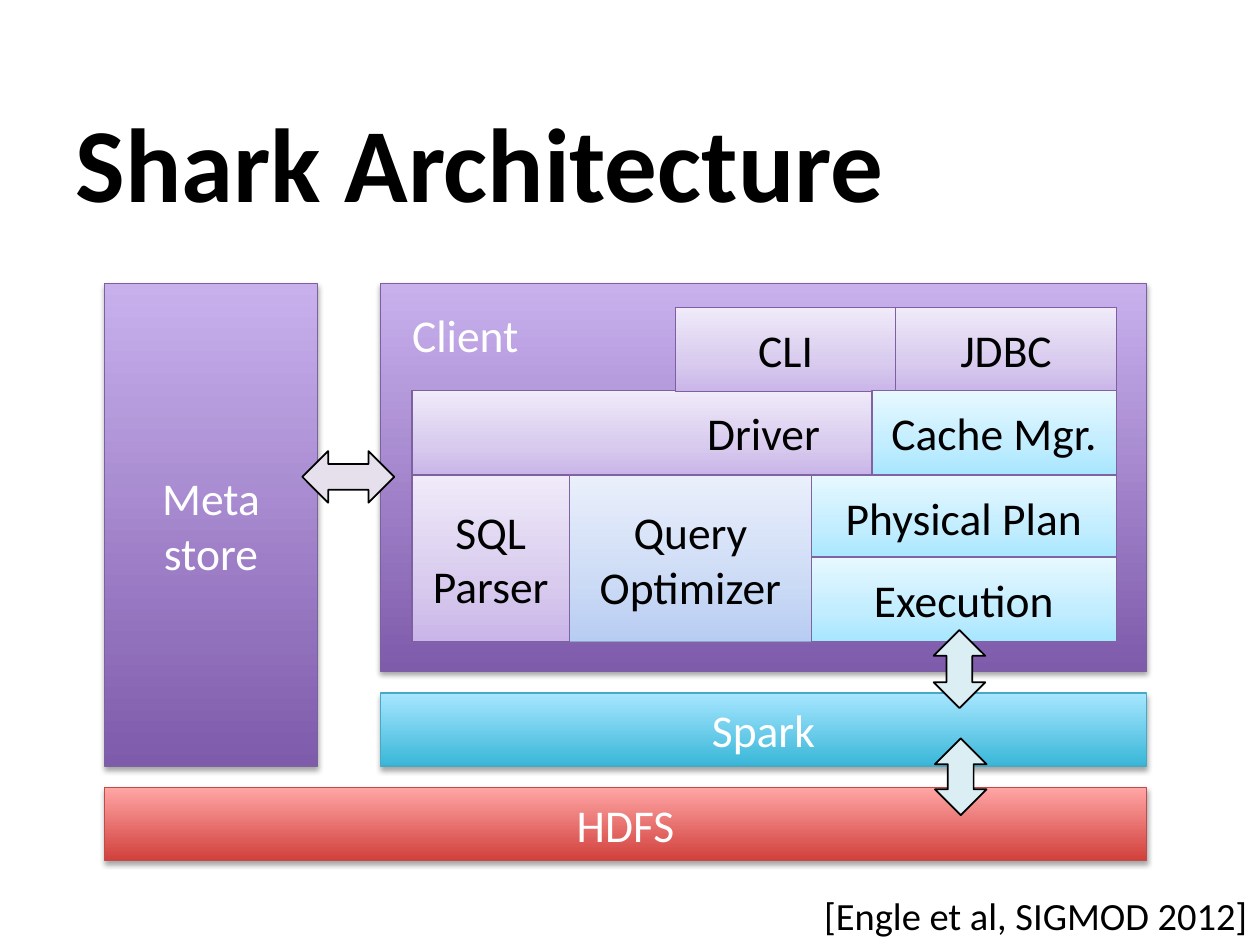
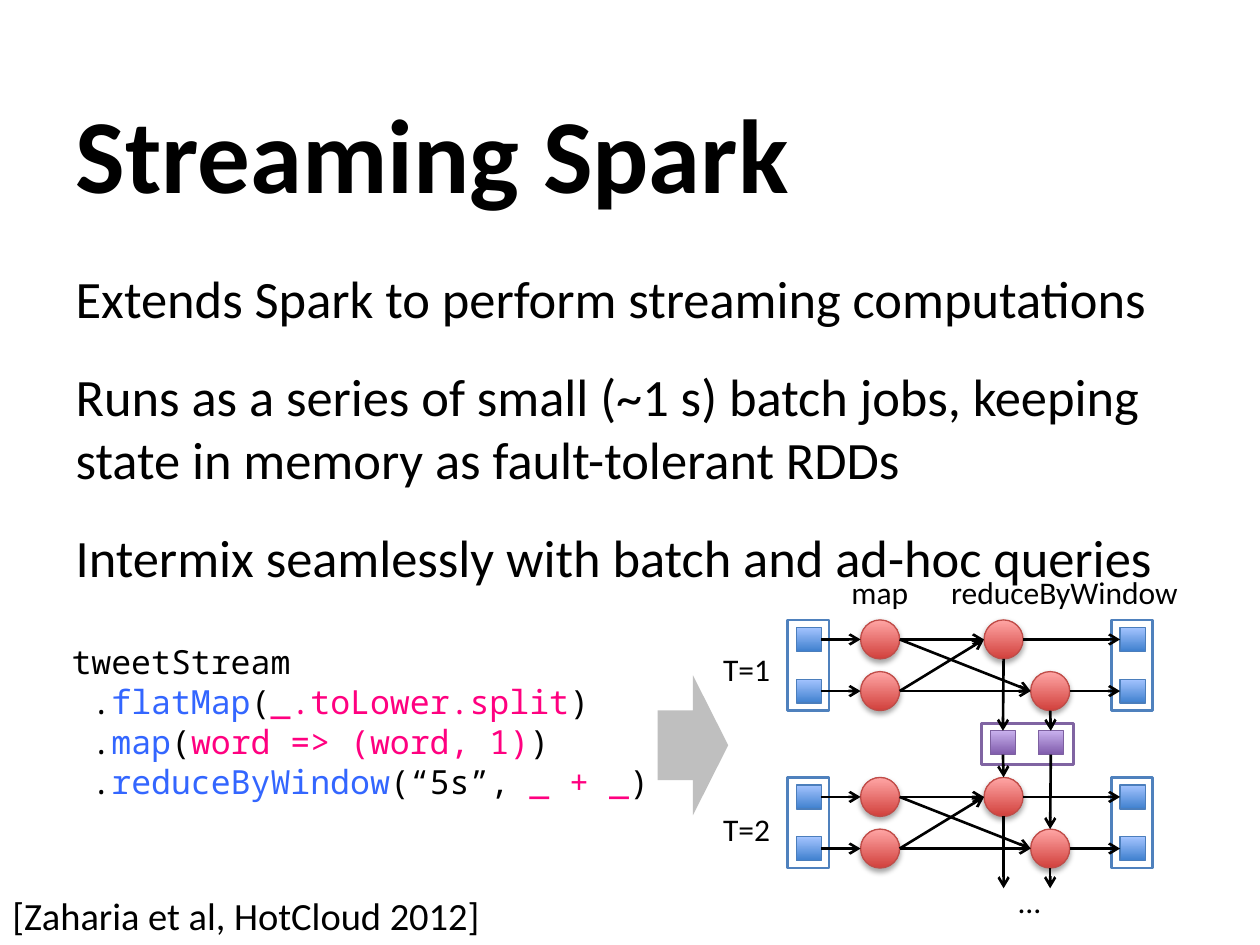
from lxml.etree import SubElement
from pptx import Presentation
from pptx.dml.color import RGBColor
from pptx.enum.shapes import MSO_CONNECTOR, MSO_SHAPE
from pptx.enum.text import MSO_ANCHOR, MSO_AUTO_SIZE, PP_ALIGN
from pptx.oxml.ns import qn
from pptx.util import Inches, Pt

BLACK, WHITE = "000000", "FFFFFF"
METHOD, CLOSURE = "3366FF", "FF0080"
TOP, LEFT, BOTTOM, RIGHT = range(4)

# Gradient colours from bottom to top, outline colour, extra effects
STYLES = {
    "purple": (("7F5BAB", "C8B0ED"), "7D60A0"),
    "red": (("D1403C", "FFA6A5"), "BF4C48"),
    "cyan": (("39B7D8", "A7E6FF"), "46AAC5"),
    "blue": (("3F80CE", "A4C4FF"), "4B7EBC"),
    "pale purple": (("C9B5E8", "D8CBEE", "F0EAF9"), "7D60A0"),
    "pale cyan": (("A7E6FF", "C1EDFF", "E7F8FF"), "8064A2"),
}
STOPS = {2: (0, 100), 3: (0, 35, 100)}

TITLE_FORMAT = {"name": "Calibri", "size": Pt(60), "bold": True}
BODY_FORMAT = {"name": "Calibri", "size": Pt(30)}
BLOCK_FORMAT = {"name": "Calibri", "size": Pt(26)}
CITATION_FORMAT = {"name": "Calibri", "size": Pt(22)}
LABEL_FORMAT = {"name": "Calibri", "size": Pt(18)}
CODE_FORMAT = {"name": "Noto Sans Mono", "size": Pt(19)}

# Shark Architecture: text, (left, top, width, height), style
LAYERS = [
    ("Meta store", (0.83, 2.25, 1.69, 3.83), "purple"),
    ("HDFS", (0.83, 6.25, 8.27, 0.58), "red"),
    ("Client", (3.02, 2.25, 6.08, 3.08), "purple"),
    ("Spark", (3.02, 5.5, 6.08, 0.58), "cyan"),
]
COMPONENTS = [
    ("Driver", (3.27, 3.1, 5.58, 0.67), "pale purple"),
    ("SQL Parser", (3.27, 3.77, 1.25, 1.32), "pale purple"),
    ("", (4.52, 3.77, 1.92, 1.32), "pale purple"),
    ("Physical Plan", (6.44, 3.77, 2.42, 0.67), "pale cyan"),
    ("Execution", (6.44, 4.42, 2.42, 0.67), "pale cyan"),
    ("CLI", (5.36, 2.44, 1.75, 0.67), "pale purple"),
    ("JDBC", (7.11, 2.44, 1.75, 0.67), "pale purple"),
    ("Cache Mgr.", (6.92, 3.1, 1.94, 0.67), "pale cyan"),
]
OPTIMIZER = ("Query Optimizer", (4.52, 3.77, 1.92, 1.33), "pale cyan")
EXCHANGES = [
    (MSO_SHAPE.LEFT_RIGHT_ARROW, (2.4, 3.58, 0.73, 0.41), "E6E0EC"),
    (MSO_SHAPE.UP_DOWN_ARROW, (7.41, 5, 0.41, 0.62), "DBEEF4"),
    (MSO_SHAPE.UP_DOWN_ARROW, (7.42, 5.86, 0.41, 0.61), "DBEEF4"),
]

# Streaming Spark
POINTS = [
    "Extends Spark to perform streaming computations",
    "Runs as a series of small (~1 s) batch jobs, keeping state in memory "
    "as fault-tolerant RDDs",
    "Intermix seamlessly with batch and ad-hoc queries",
]
CODE = [
    [("tweetStream", BLACK)],
    [(" .", BLACK), ("flatMap", METHOD), ("(", BLACK),
     ("_.toLower.split", CLOSURE), (")", BLACK)],
    [(" .", BLACK), ("map", METHOD), ("(", BLACK),
     ("word => (word, 1)", CLOSURE), (")", BLACK)],
    [(" .", BLACK), ("reduceByWindow", METHOD), ("(“5s”, ", BLACK),
     ("_ + _", CLOSURE), (")", BLACK)],
]
LABELS = [
    ("T=1", (5.64, 5.11, 0.58, 0.4)),
    ("T=2", (5.64, 6.38, 0.6, 0.4)),
    ("map", (6.66, 4.5, 0.67, 0.4)),
    ("reduceByWindow", (7.45, 4.5, 2.05, 0.4)),
    ("…", (7.91, 6.95, 0.52, 0.4)),
]
BATCH_TOPS = (4.92, 6.17)
ROW_GAP = 0.41
INPUT_X, OUTPUT_X, MAP_X = 6.32, 8.89, 6.83
REDUCE_X = (7.81, 8.18)
STATE_X, STATE_Y = (7.86, 8.24), 5.8
SQUARE, CIRCLE = (0.2, 0.19), 0.31
STREAM_END = 7.05


def color(hex_value):
    return RGBColor.from_string(hex_value)


def write(frame, paragraphs, font_format, align=PP_ALIGN.LEFT, space=0):
    """Fill a frame with paragraphs, each a list of (text, colour) runs."""
    for index, runs in enumerate(paragraphs):
        paragraph = frame.add_paragraph() if index else frame.paragraphs[0]
        paragraph.alignment = align
        paragraph.space_before = Pt(space if index else 0)
        for text, hex_value in runs:
            run = paragraph.add_run()
            run.text = text
            for name, value in font_format.items():
                setattr(run.font, name, value)
            run.font.color.rgb = color(hex_value)


def add_text(slide, box, paragraphs, font_format, align=PP_ALIGN.LEFT, wrap=False):
    frame = slide.shapes.add_textbox(*map(Inches, box)).text_frame
    frame.word_wrap = wrap
    if not wrap:
        frame.auto_size = MSO_AUTO_SIZE.SHAPE_TO_FIT_TEXT
    write(frame, paragraphs, font_format, align)
    return frame


def add_title(slide, text, top):
    title = slide.shapes.title
    title.left, title.top, title.width, title.height = map(Inches, (0.5, top, 9, 1.25))
    title.text_frame.auto_size = MSO_AUTO_SIZE.NONE
    title.text_frame.vertical_anchor = MSO_ANCHOR.MIDDLE
    write(title.text_frame, [[(text, BLACK)]], TITLE_FORMAT)


def add_plain(slide, kind, box, fill, line=None, line_width=1):
    shape = slide.shapes.add_shape(kind, *map(Inches, box))
    shape.shadow.inherit = False
    shape.fill.solid()
    shape.fill.fore_color.rgb = color(fill)
    if line:
        shape.line.color.rgb = color(line)
        shape.line.width = Pt(line_width)
    else:
        shape.line.fill.background()
    return shape


def add_glossy(slide, kind, box, style, shadow=False, opacity=100):
    """Add a shape with a vertical gradient and, if wanted, a soft shadow."""
    colors, line = STYLES[style]
    shape = add_plain(slide, kind, box, colors[0], line, 0.75)
    shape.fill.gradient()
    shape.fill.gradient_angle = 90
    properties = shape.element.spPr
    stops = properties.find(qn("a:gradFill")).find(qn("a:gsLst"))
    for stop in list(stops):
        stops.remove(stop)
    for position, hex_value in zip(STOPS[len(colors)], colors):
        stop = SubElement(stops, qn("a:gs"), pos=str(position * 1000))
        tone = SubElement(stop, qn("a:srgbClr"), val=hex_value)
        if opacity < 100:
            SubElement(tone, qn("a:alpha"), val=str(opacity * 1000))
    if shadow:
        outer = SubElement(
            properties.find(qn("a:effectLst")), qn("a:outerShdw"),
            blurRad=str(Pt(3.1)), dist=str(Pt(1.8)), dir="5400000", rotWithShape="0")
        tone = SubElement(outer, qn("a:srgbClr"), val=BLACK)
        SubElement(tone, qn("a:alpha"), val="35000")
    return shape


def add_block(slide, text, box, style, text_color, **effects):
    shape = add_glossy(slide, MSO_SHAPE.RECTANGLE, box, style, **effects)
    frame = shape.text_frame
    frame.word_wrap = True
    if text:
        write(frame, [[(text, text_color)]], BLOCK_FORMAT, PP_ALIGN.CENTER)
    return shape


def side_point(shape, side):
    across, down = {TOP: (0.5, 0), LEFT: (0, 0.5), BOTTOM: (0.5, 1), RIGHT: (1, 0.5)}[side]
    return (int(shape.left + shape.width * across), int(shape.top + shape.height * down))


def add_arrow(slide, source, source_side, target, target_side):
    """Draw an arrow between two sides, joined where the shape is a rectangle."""
    start, end = side_point(source, source_side), side_point(target, target_side)
    connector = draw_arrow(slide, start, end)
    if source.auto_shape_type == MSO_SHAPE.RECTANGLE:
        connector.begin_connect(source, source_side)
    if target.auto_shape_type == MSO_SHAPE.RECTANGLE:
        connector.end_connect(target, target_side)


def draw_arrow(slide, start, end):
    connector = slide.shapes.add_connector(MSO_CONNECTOR.STRAIGHT, *start, *end)
    connector.line.color.rgb = color(BLACK)
    connector.line.width = Pt(1.5)
    properties = connector.element.spPr
    SubElement(properties.find(qn("a:ln")), qn("a:tailEnd"), type="arrow")
    SubElement(properties, qn("a:effectLst"))
    return connector


def build_architecture(slide):
    add_title(slide, "Shark Architecture", 0.65)
    blocks = {text: add_block(slide, text, box, style, WHITE, shadow=True)
              for text, box, style in LAYERS}
    client = blocks["Client"].text_frame
    client.vertical_anchor = MSO_ANCHOR.TOP
    client.margin_left, client.margin_top = Inches(0.25), Inches(0.19)
    client.paragraphs[0].alignment = PP_ALIGN.LEFT
    for text, box, style in COMPONENTS:
        add_block(slide, text, box, style, BLACK)
    add_block(slide, *OPTIMIZER, BLACK, opacity=50)
    for kind, box, fill in EXCHANGES:
        add_plain(slide, kind, box, fill, BLACK)
    add_text(slide, (6.33, 7.03, 3.67, 0.47), [[("[Engle et al, SIGMOD 2012]", BLACK)]],
             CITATION_FORMAT, PP_ALIGN.RIGHT)


def add_square(slide, left, top, style="blue"):
    return add_glossy(slide, MSO_SHAPE.RECTANGLE, (left, top, *SQUARE), style)


def add_task(slide, left, top):
    return add_glossy(slide, MSO_SHAPE.OVAL, (left, top, CIRCLE, CIRCLE), "red", shadow=True)


def add_batch(slide, top):
    """Draw one time step and return its two reduce tasks."""
    for left in (OUTPUT_X - 0.07, INPUT_X - 0.07):
        add_plain(slide, MSO_SHAPE.RECTANGLE, (left, top, 0.33, 0.72), WHITE, "4F81BD", 1.5)
    maps, reduces = [], []
    for row, reduce_x in enumerate(REDUCE_X):
        row_top = top + row * ROW_GAP
        source = add_square(slide, INPUT_X, row_top + 0.06)
        result = add_square(slide, OUTPUT_X, row_top + 0.06)
        maps.append(add_task(slide, MAP_X, row_top))
        reduces.append(add_task(slide, reduce_x, row_top))
        add_arrow(slide, source, RIGHT, maps[row], LEFT)
        add_arrow(slide, reduces[row], RIGHT, result, LEFT)
    for map_task in maps:
        for reduce_task in reduces:
            add_arrow(slide, map_task, RIGHT, reduce_task, LEFT)
    return reduces


def build_streaming(slide):
    add_title(slide, "Streaming Spark", 0.58)
    body = slide.placeholders[1]
    body.left, body.top, body.width, body.height = map(Inches, (0.5, 2.06, 9, 2.6))
    body.text_frame.auto_size = MSO_AUTO_SIZE.NONE
    write(body.text_frame, [[(point, BLACK)] for point in POINTS], BODY_FORMAT, space=20)
    for paragraph in body.text_frame.paragraphs:
        properties = paragraph._p.get_or_add_pPr()
        properties.set("marL", "0")
        properties.set("indent", "0")
        SubElement(properties, qn("a:buNone"))
    code = add_text(slide, (0.47, 5.04, 4.83, 1.58), CODE, CODE_FORMAT, wrap=True)
    code.margin_right = 0

    add_plain(slide, MSO_SHAPE.RECTANGLE, (7.79, 5.74, 0.73, 0.33), WHITE, "8064A2", 1.5)
    first, second = (add_batch(slide, top) for top in BATCH_TOPS)
    for left, before, after in zip(STATE_X, first, second):
        state = add_square(slide, left, STATE_Y, "purple")
        add_arrow(slide, before, BOTTOM, state, TOP)
        add_arrow(slide, state, BOTTOM, after, TOP)
        start = side_point(after, BOTTOM)
        draw_arrow(slide, start, (start[0], Inches(STREAM_END)))
    for text, box in LABELS:
        align = PP_ALIGN.CENTER if text == "…" else PP_ALIGN.LEFT
        add_text(slide, box, [[(text, BLACK)]], LABEL_FORMAT, align)
    add_plain(slide, MSO_SHAPE.RIGHT_ARROW, (5.22, 5.36, 0.56, 1.11), "BFBFBF")
    add_text(slide, (0, 7.03, 4.01, 0.47), [[("[Zaharia et al, HotCloud 2012]", BLACK)]],
             CITATION_FORMAT)


def main():
    presentation = Presentation()
    presentation.slide_width, presentation.slide_height = Inches(10), Inches(7.5)
    content_layout, title_layout = (presentation.slide_layouts[i] for i in (1, 5))
    build_architecture(presentation.slides.add_slide(title_layout))
    build_streaming(presentation.slides.add_slide(content_layout))
    presentation.save("out.pptx")


if __name__ == "__main__":
    main()
